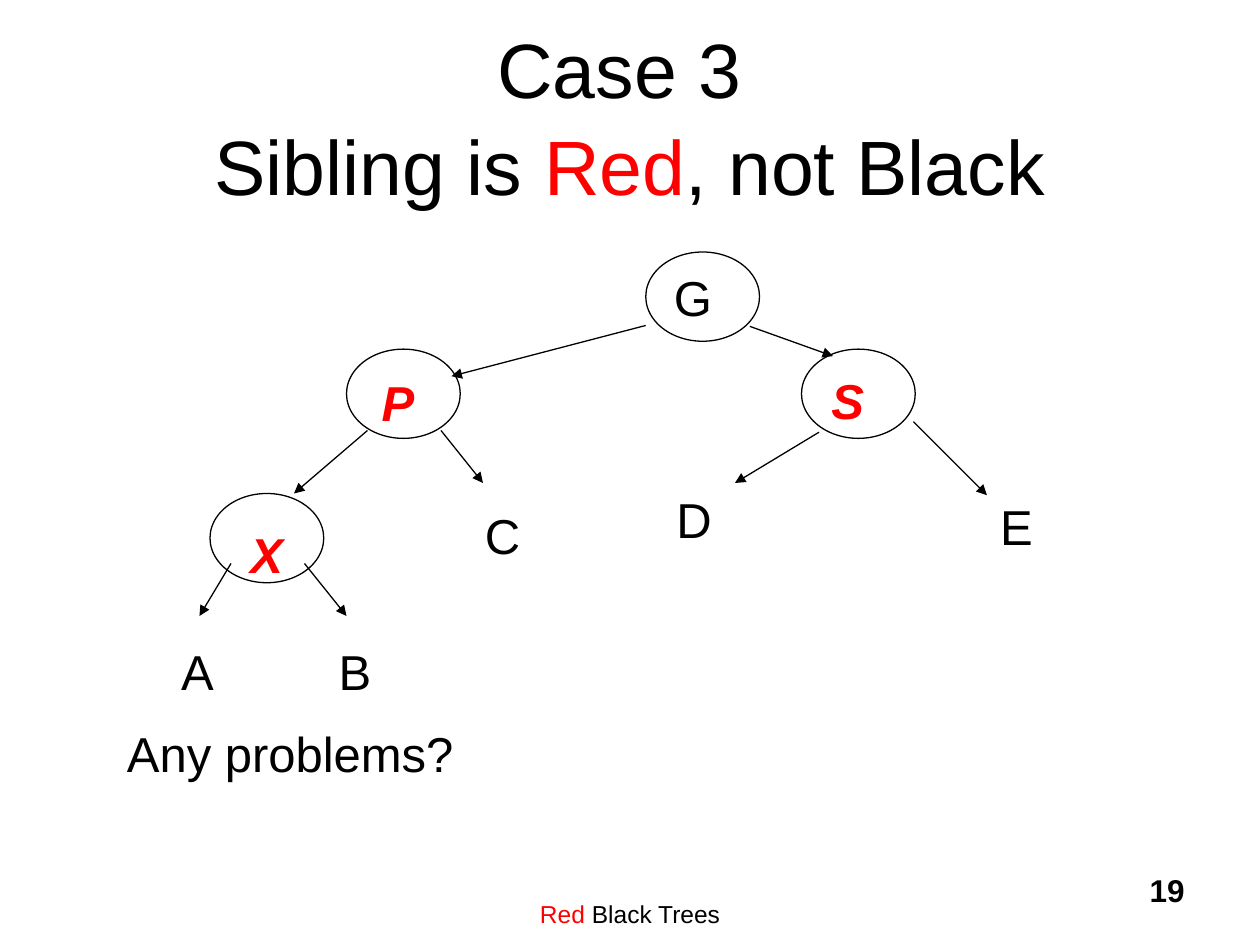
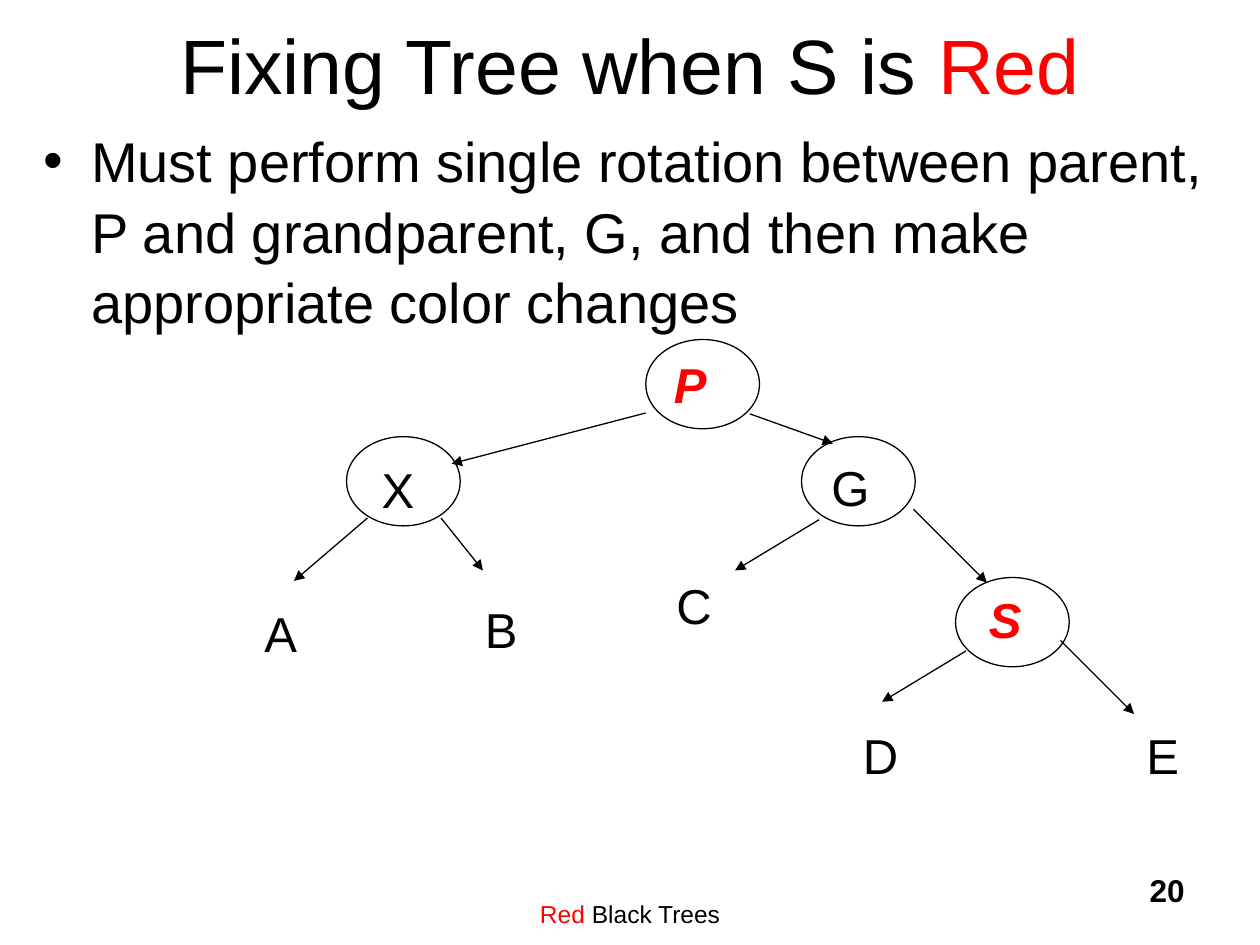
from lxml import etree
from pptx import Presentation
from pptx.dml.color import RGBColor
from pptx.enum.shapes import MSO_CONNECTOR, MSO_SHAPE
from pptx.enum.text import MSO_ANCHOR, PP_ALIGN
from pptx.oxml.ns import qn
from pptx.util import Pt

LEFT, CENTER, RIGHT = PP_ALIGN.LEFT, PP_ALIGN.CENTER, PP_ALIGN.RIGHT
TOP, MIDDLE = MSO_ANCHOR.TOP, MSO_ANCHOR.MIDDLE
OVAL, STRAIGHT = MSO_SHAPE.OVAL, MSO_CONNECTOR.STRAIGHT

BLACK, RED = "000000", "FF0000"
NODE_W, NODE_H = 65, 51
LINE_W = 0.75
TREE_DROP = 50

TITLE = {"size": Pt(44)}
BODY = {"size": Pt(32)}
LABEL = {"size": Pt(28)}
RED_LABEL = {"size": Pt(28), "bold": True, "italic": True}
FOOTER = {"size": Pt(14)}
NUMBER = {"size": Pt(18), "bold": True}

TOP_NODES = [
    ((369, 144), (378, 146)),
    ((198, 199.5), (211, 206)),
    ((458, 199.5), (468, 205)),
]
TOP_ARROWS = [
    (369, 186, 258, 215),
    (428.5, 186.5, 476, 203.5),
    (522, 241, 564, 283),
    (468, 247, 420, 276),
    (210, 246, 168, 282),
    (252, 246, 276, 276),
]


def color(value):
    return RGBColor.from_string(value)


def add_text(s, x, y, w, h, runs, fmt, align=LEFT, anchor=TOP, top=3.6):
    tf = s.shapes.add_textbox(Pt(x), Pt(y), Pt(w), Pt(h)).text_frame
    tf.word_wrap = True
    tf.vertical_anchor = anchor
    tf.margin_top = Pt(top)
    p = tf.paragraphs[0]
    p.alignment = align
    p.line_spacing = 1.05
    for text, ink in runs:
        for i, line in enumerate(text.split("\n")):
            if i:
                p.add_line_break()
            r = p.add_run()
            r.text = line
            r.font.name = "Arial"
            r.font.color.rgb = color(ink)
            for key, value in fmt.items():
                setattr(r.font, key, value)
    return p


def add_title(s, y, runs):
    add_text(s, 54, y, 612, 90, runs, TITLE, CENTER, MIDDLE, top=8)


def add_bullet(s, text):
    p = add_text(s, 18, 66, 684, 432, [(text, BLACK)], BODY, top=4.5)
    pPr = p._p.get_or_add_pPr()
    pPr.set("marL", str(Pt(27)))
    pPr.set("indent", str(-Pt(27)))
    etree.SubElement(pPr, qn("a:buFont")).set("typeface", "Arial")
    etree.SubElement(pPr, qn("a:buChar")).set("char", "•")


def add_footer(s, number):
    runs = [("Red", RED), (" Black Trees", BLACK)]
    add_text(s, 222, 492, 276, 36, runs, FOOTER, CENTER, top=21)
    add_text(s, 534, 492, 150, 36, [(str(number), BLACK)], NUMBER, RIGHT, top=4.5)


def add_label(s, x, y, text, red=False, w=36):
    ink, fmt = (RED, RED_LABEL) if red else (BLACK, LABEL)
    add_text(s, x, y, w, 41, [(text, ink)], fmt, top=5)


def add_node(s, at, label_at, text, red=False):
    sp = s.shapes.add_shape(OVAL, Pt(at[0]), Pt(at[1]), Pt(NODE_W), Pt(NODE_H))
    sp.shadow.inherit = False
    sp.fill.background()
    sp.line.color.rgb = color(BLACK)
    sp.line.width = Pt(LINE_W)
    add_label(s, *label_at, text, red)


def add_arrow(s, x1, y1, x2, y2):
    cn = s.shapes.add_connector(STRAIGHT, Pt(x1), Pt(y1), Pt(x2), Pt(y2))
    cn.line.color.rgb = color(BLACK)
    cn.line.width = Pt(LINE_W)
    ln = cn.line._get_or_add_ln()
    etree.SubElement(ln, qn("a:tailEnd")).set("type", "triangle")
    etree.SubElement(cn._element.spPr, qn("a:effectLst"))


def add_top_tree(s, names, red_names, drop=0):
    for (at, label_at), name in zip(TOP_NODES, names):
        add_node(s, (at[0], at[1] + drop), (label_at[0], label_at[1] + drop),
                 name, name in red_names)
    for x1, y1, x2, y2 in TOP_ARROWS:
        add_arrow(s, x1, y1 + drop, x2, y2 + drop)


def add_subtree(s, node, arrows, leaves):
    add_node(s, *node, red=True)
    for arrow in arrows:
        add_arrow(s, *arrow)
    for leaf in leaves:
        add_label(s, *leaf)


def add_case_slide(s):
    add_title(s, 18, [("Case 3 \nSibling is ", BLACK), ("Red", RED),
                      (", not Black", BLACK)])
    add_top_tree(s, "GPS", "PS")
    add_subtree(s, ((120, 282), (136, 293), "X"),
                [(132, 322, 114, 352), (174, 322, 198, 352)],
                [(96.5, 360, "A"), (186.5, 360, "B"), (270, 282, "C"),
                 (379.5, 273, "D"), (564.5, 277, "E")])
    add_label(s, 65.5, 407, "Any problems?", w=210)


def add_fix_slide(s):
    add_title(s, -12, [("Fixing Tree when S is ", BLACK), ("Red", RED)])
    add_bullet(s, "Must perform single rotation between parent, P and "
                  "grandparent, G, and then make appropriate color changes")
    add_top_tree(s, "PXG", "P", TREE_DROP)
    add_subtree(s, ((546, 330), (558, 330), "S"),
                [(606, 366, 648, 408), (552, 372, 504, 401)],
                [(144, 338, "A"), (270, 336, "B"), (379.5, 322.5, "C"),
                 (486, 408, "D"), (648, 408, "E")])


def main():
    prs = Presentation()
    prs.slide_width, prs.slide_height = Pt(720), Pt(540)
    for number, build in enumerate((add_case_slide, add_fix_slide), 19):
        s = prs.slides.add_slide(prs.slide_layouts[6])
        add_footer(s, number)
        build(s)
    prs.save("out.pptx")


if __name__ == "__main__":
    main()
